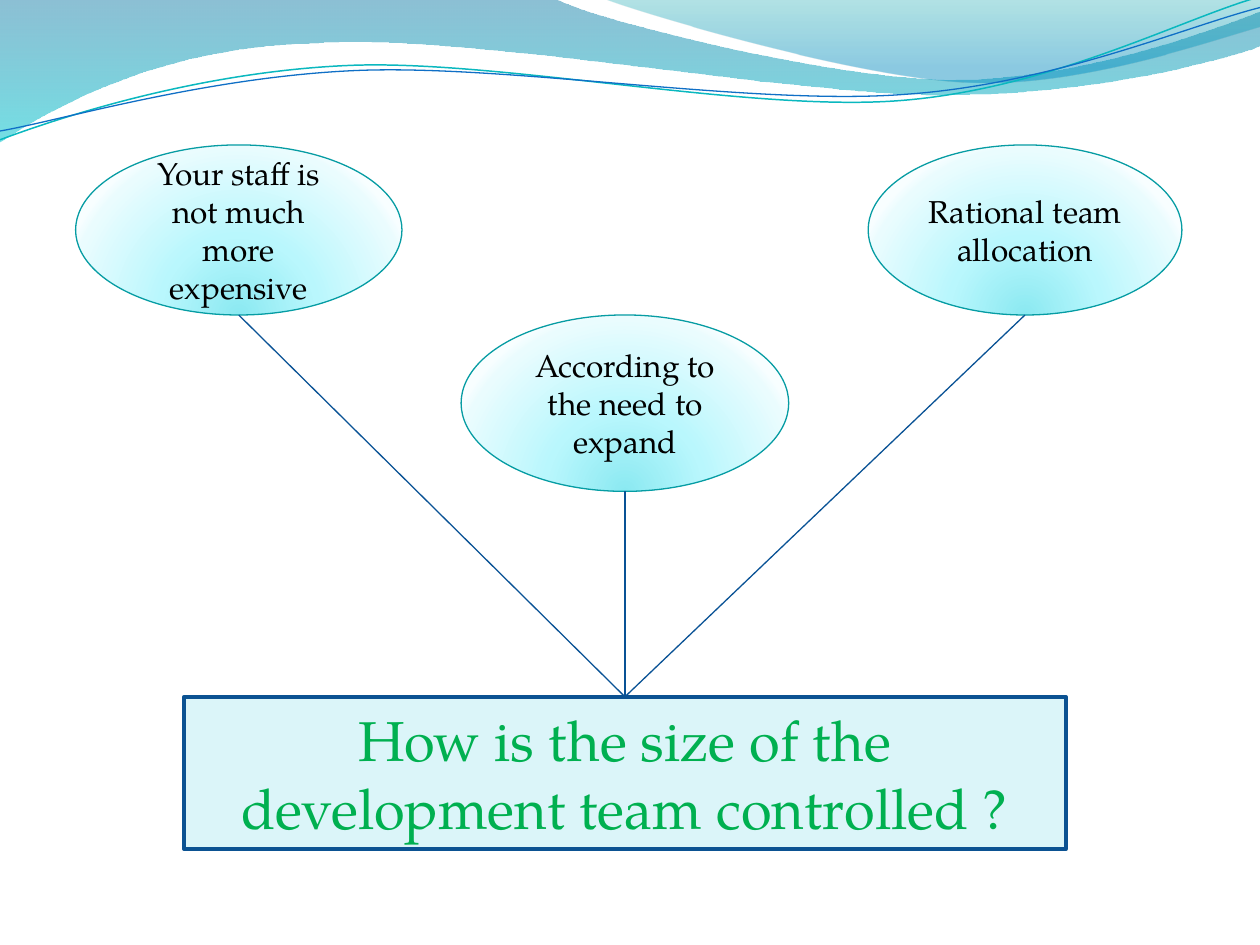
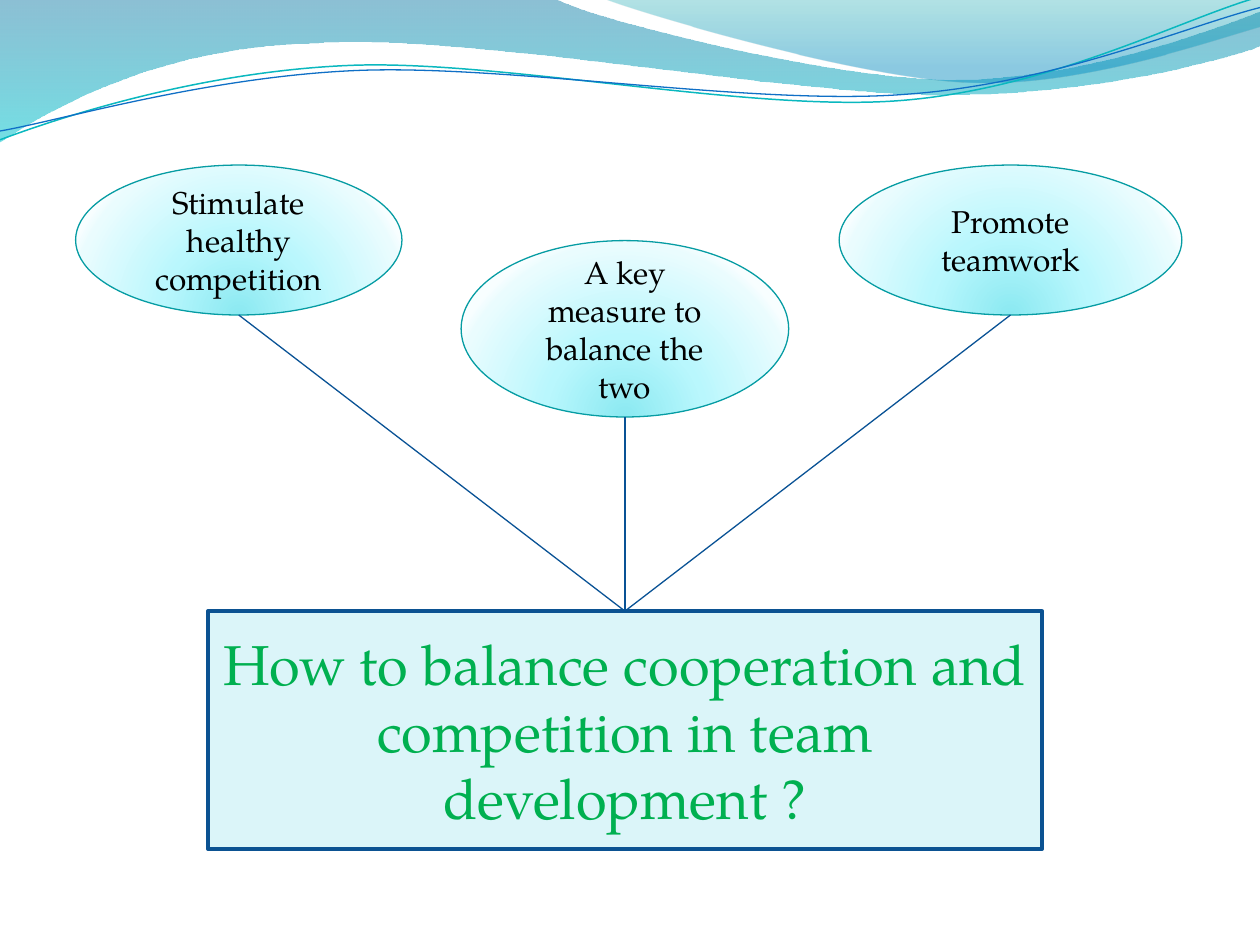
from pptx import Presentation
from pptx.dml.color import RGBColor
from pptx.enum.shapes import MSO_CONNECTOR, MSO_SHAPE
from pptx.enum.text import MSO_ANCHOR, PP_ALIGN
from pptx.oxml import parse_xml
from pptx.oxml.ns import nsdecls, qn
from pptx.util import Inches, Pt

OVAL, RECTANGLE = MSO_SHAPE.OVAL, MSO_SHAPE.RECTANGLE
STRAIGHT = MSO_CONNECTOR.STRAIGHT
MIDDLE, CENTER = MSO_ANCHOR.MIDDLE, PP_ALIGN.CENTER
TOP_SIDE = 0

FONT = "TeX Gyre Pagella"
BLACK = RGBColor(0x00, 0x00, 0x00)
GREEN = RGBColor(0x00, 0xB0, 0x50)
PALE_AQUA = RGBColor(0xDB, 0xF5, 0xF9)
BOX_BLUE = RGBColor(0x0B, 0x52, 0x92)
LINK_BLUE = RGBColor(0x09, 0x52, 0x95)
OVAL_TEAL = RGBColor(0x06, 0x9C, 0xA3)
STRAND_TEAL = RGBColor(0x0A, 0xB8, 0xBF)
STRAND_BLUE = RGBColor(0x0F, 0x6F, 0xC6)

DOWNWARD = '<a:lin ang="5400000" scaled="0"/>'
FROM_BELOW = ('<a:path path="circle"><a:fillToRect l="50000" t="130000" '
              'r="50000" b="-30000"/></a:path>')
OVAL_STOPS = [(0, RGBColor(0x8B, 0xE9, 0xF1), 100), (43, RGBColor(0xB9, 0xF7, 0xFD), 100),
              (93, RGBColor(0xEA, 0xFC, 0xFE), 100), (100, RGBColor(0xF8, 0xFE, 0xFF), 100)]

BANDS = [
    ([(0, 0), (4.4, -0.01),
      (4.76, 0.17, 6.64, 0.63, 7.58, 0.63), (8.53, 0.63, 9.58, 0.26, 10, 0.09),
      (10.01, 0.36),
      (9.83, 0.44, 8.7, 0.76, 7.46, 0.75), (6.22, 0.75, 3.82, 0.28, 2.57, 0.34),
      (1.29, 0.36, 0.46, 0.83, -0.01, 1.13)],
     [(0, RGBColor(0x00, 0x74, 0xA1), 45), (100, RGBColor(0x00, 0xC6, 0xCF), 55)]),
    ([(4.79, -0.01),
      (5.09, 0.11, 6.82, 0.62, 7.69, 0.65), (8.56, 0.69, 9.61, 0.32, 10, 0.21),
      (10, 0)],
     [(0, RGBColor(0x00, 0xA1, 0xA9), 30), (80, RGBColor(0x00, 0x8B, 0xBF), 45)]),
]
STRANDS = [
    ([(0, 1.11), (0.48, 0.93, 1.58, 0.57, 2.77, 0.52),
      (3.95, 0.47, 5.93, 0.89, 7.13, 0.8), (8.33, 0.71, 9.38, 0.15, 9.98, -0.02)],
     STRAND_TEAL, 0.85),
    ([(0, 1.04), (0.47, 0.96, 1.64, 0.61, 2.83, 0.56),
      (4.03, 0.51, 5.97, 0.84, 7.17, 0.75), (8.36, 0.67, 9.41, 0.21, 10, 0.06)],
     STRAND_BLUE, 0.75),
]

TOPICS = [
    ("How is the size of the development team controlled ?", (1.46, 5.53, 7, 1.21),
     [("Rational team allocation", (6.89, 1.15, 2.49, 1.35)),
      ("Your staff is not much more expensive", (0.6, 1.15, 2.59, 1.35)),
      ("According to the need to expand", (3.66, 2.5, 2.6, 1.4))]),
    ("How to balance cooperation and competition in team development ?",
     (1.65, 4.85, 6.62, 1.89),
     [("Promote teamwork", (6.66, 1.31, 2.72, 1.19)),
      ("Stimulate healthy competition", (0.6, 1.31, 2.59, 1.19)),
      ("A key measure to balance the two", (3.66, 1.91, 2.6, 1.4))]),
]


class Deck:
    def __init__(self):
        self.presentation = Presentation()
        self.presentation.slide_width = Inches(10)
        self.presentation.slide_height = Inches(7.5)
        self.slide = None

    def new_slide(self):
        blank = self.presentation.slide_layouts[6]
        self.slide = self.presentation.slides.add_slide(blank)
        for steps, stops in BANDS:
            band = self.outline(steps, closed=True)
            self.gradient(band, stops, DOWNWARD)
            band.line.fill.background()
        for steps, color, width in STRANDS:
            strand = self.outline(steps, closed=False)
            strand.fill.background()
            self.stroke(strand, color, width)

    def outline(self, steps, closed):
        start, *ends = [(Inches(step[-2]), Inches(step[-1])) for step in steps]
        builder = self.slide.shapes.build_freeform(*start)
        builder.add_line_segments(ends, close=closed)
        shape = builder.convert_to_shape()
        shape.shadow.inherit = False
        segments = list(shape.element.spPr.iter(qn("a:lnTo")))
        for step, segment in zip(steps[1:], segments):
            if len(step) == 6:
                self.bend(shape, segment, step)
        return shape

    def bend(self, shape, segment, step):
        points = "".join(
            f'<a:pt x="{Inches(x) - shape.left}" y="{Inches(y) - shape.top}"/>'
            for x, y in zip(step[::2], step[1::2]))
        segment.getparent().replace(segment, parse_xml(
            f'<a:cubicBezTo {nsdecls("a")}>{points}</a:cubicBezTo>'))

    def gradient(self, shape, stops, direction):
        stop_xml = "".join(
            f'<a:gs pos="{position * 1000}"><a:srgbClr val="{color}">'
            f'<a:alpha val="{opacity * 1000}"/></a:srgbClr></a:gs>'
            for position, color, opacity in stops)
        shape.fill.background()
        properties = shape.element.spPr
        properties.replace(properties.find(qn("a:noFill")), parse_xml(
            f'<a:gradFill {nsdecls("a")} rotWithShape="1">'
            f'<a:gsLst>{stop_xml}</a:gsLst>{direction}</a:gradFill>'))

    def stroke(self, shape, color, width):
        shape.line.color.rgb = color
        shape.line.width = Pt(width)

    def label(self, kind, text, place, size, color):
        shape = self.slide.shapes.add_shape(kind, *map(Inches, place))
        shape.shadow.inherit = False
        frame = shape.text_frame
        frame.word_wrap = True
        frame.vertical_anchor = MIDDLE
        paragraph = frame.paragraphs[0]
        paragraph.text = text
        paragraph.alignment = CENTER
        paragraph.font.name = FONT
        paragraph.font.size = Pt(size)
        paragraph.font.color.rgb = color
        return shape

    def answer(self, text, place):
        oval = self.label(OVAL, text, place, 18, BLACK)
        self.gradient(oval, OVAL_STOPS, FROM_BELOW)
        self.stroke(oval, OVAL_TEAL, 0.75)
        return oval

    def question(self, text, place):
        box = self.label(RECTANGLE, text, place, 32, GREEN)
        box.fill.solid()
        box.fill.fore_color.rgb = PALE_AQUA
        self.stroke(box, BOX_BLUE, 2)
        return box

    def link(self, oval, box):
        x, y = oval.left + oval.width // 2, oval.top + oval.height
        connector = self.slide.shapes.add_connector(STRAIGHT, x, y, x, box.top)
        connector.end_connect(box, TOP_SIDE)
        self.stroke(connector, LINK_BLUE, 0.75)
        connector.element.spPr.append(parse_xml(f'<a:effectLst {nsdecls("a")}/>'))


def main():
    deck = Deck()
    for question, place, answers in TOPICS:
        deck.new_slide()
        ovals = [deck.answer(*answer) for answer in answers]
        box = deck.question(question, place)
        for oval in ovals:
            deck.link(oval, box)
    deck.presentation.save("out.pptx")


if __name__ == "__main__":
    main()
